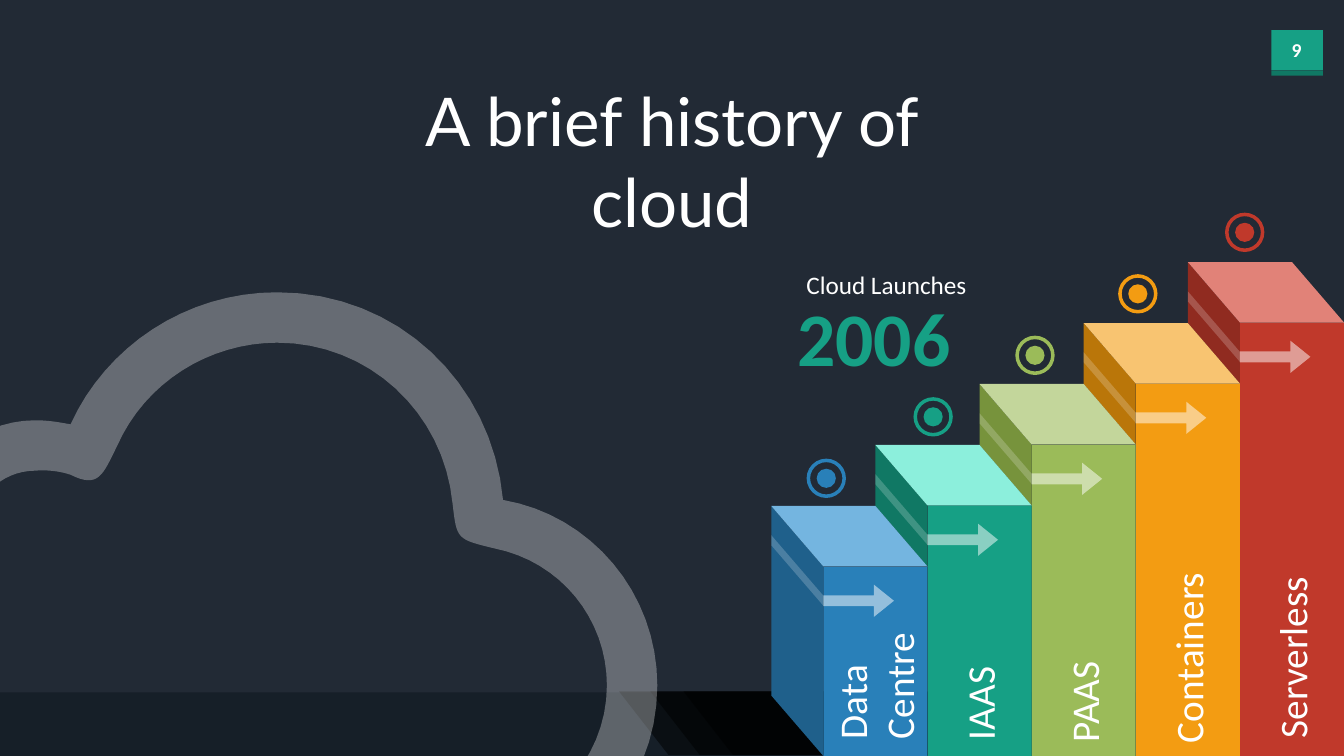
import lxml.etree
import pptx
import pptx.dml.color
import pptx.enum.shapes
import pptx.enum.text
import pptx.oxml.ns
import pptx.util

RGB = pptx.dml.color.RGBColor
SHAPE = pptx.enum.shapes.MSO_SHAPE
ALIGN = pptx.enum.text.PP_ALIGN

NIGHT = RGB(0x22, 0x2A, 0x35)
FLOOR = RGB(0x16, 0x1F, 0x28)
BLACK = RGB(0, 0, 0)
WHITE = RGB(0xFF, 0xFF, 0xFF)
BLUE, BLUE_DARK, BLUE_LIGHT = RGB(0x29, 0x80, 0xB9), RGB(0x1F, 0x60, 0x8B), RGB(0x74, 0xB5, 0xE0)
TEAL, TEAL_DARK, TEAL_LIGHT = RGB(0x16, 0xA0, 0x85), RGB(0x10, 0x78, 0x64), RGB(0x8C, 0xEF, 0xDC)
GREEN, GREEN_DARK, GREEN_LIGHT = RGB(0x9B, 0xBB, 0x59), RGB(0x77, 0x93, 0x3C), RGB(0xC3, 0xD6, 0x9B)
ORANGE, ORANGE_DARK, ORANGE_LIGHT = RGB(0xF3, 0x9C, 0x12), RGB(0xBA, 0x76, 0x09), RGB(0xF8, 0xC4, 0x71)
RED, RED_DARK, RED_LIGHT = RGB(0xC0, 0x39, 0x2B), RGB(0x90, 0x2B, 0x20), RGB(0xE1, 0x82, 0x78)

COLS, ROWS = 13.33, 7.5
STAIR_LEFT, STAIR_TOP = 7.65, 5.02
RISE = (STAIR_TOP - 2.6) / 4
TREAD = (COLS - STAIR_LEFT) / 5.5
DEPTH, SLANT = TREAD / 2, 0.6

STEPS = [
    ("Data\vCentre", BLUE, BLUE_DARK, BLUE_LIGHT, 8.2, 2.24, 1.04, 7.43),
    ("IAAS", TEAL, TEAL_DARK, TEAL_LIGHT, 9.26, 0.97, 0.57, 7.44),
    ("PAAS", GREEN, GREEN_DARK, GREEN_LIGHT, 10.27, 1.36, 0.57, 7.46),
    ("Containers", ORANGE, ORANGE_DARK, ORANGE_LIGHT, 11.29, 2.82, 0.57, 7.47),
    ("Serverless", RED, RED_DARK, RED_LIGHT, 12.35, 2.82, 0.57, 7.42),
]

CLOUD_OUTER = [
    (4.99, 4.96),
    (4.88, 3.79), (3.94, 2.9), (2.75, 2.9),
    (1.84, 2.9), (1.05, 3.44), (0.7, 4.21),
    (0.59, 4.19), (0.48, 4.17), (0.35, 4.17),
    (-0.27, 4.17), (-0.77, 4.67), (-0.77, 5.28),
    (-0.77, 5.42), (-0.75, 5.53), (-0.73, 5.66),
    (-1.21, 5.94), (-1.54, 6.45), (-1.54, 7.06),
    (-1.54, 7.96), (-0.79, 8.7), (0.1, 8.7),
    (0.1, 8.7), (4.64, 8.7), (4.64, 8.7),
    (5.69, 8.7), (6.52, 7.85), (6.52, 6.8),
    (6.52, 5.88), (5.86, 5.11), (4.99, 4.96),
]
CLOUD_INNER = [
    (4.64, 8.2),
    (4.64, 8.2), (0.1, 8.2), (0.1, 8.2),
    (-0.53, 8.2), (-1.03, 7.7), (-1.03, 7.06),
    (-1.03, 6.67), (-0.81, 6.29), (-0.46, 6.07),
    (-0.11, 5.88), (-0.09, 5.85), (-0.25, 5.48),
    (-0.27, 5.42), (-0.27, 5.35), (-0.27, 5.28),
    (-0.27, 4.96), (0, 4.67), (0.35, 4.67),
    (0.35, 4.67), (0.52, 4.65), (0.7, 4.71),
    (0.98, 4.85), (1.02, 4.71), (1.16, 4.43),
    (1.44, 3.79), (2.08, 3.4), (2.75, 3.4),
    (3.65, 3.4), (4.4, 4.08), (4.49, 5),
    (4.53, 5.35), (4.53, 5.35), (4.9, 5.44),
    (5.56, 5.57), (6.02, 6.14), (6.02, 6.8),
    (6.02, 7.56), (5.4, 8.2), (4.64, 8.2),
]


def curve(knots, pieces=16):
    points = [knots[0]]
    for i in range(0, len(knots) - 1, 3):
        a, b, c, d = knots[i:i + 4]
        for n in range(1, pieces + 1):
            t = n / pieces
            u = 1 - t
            points.append(tuple(
                u**3 * a[k] + 3 * u * u * t * b[k] + 3 * u * t * t * c[k] + t**3 * d[k]
                for k in (0, 1)))
    return points


class Deck:
    def __init__(self, prs, font):
        self.font = font
        self.col = prs.slide_width / COLS
        self.row = prs.slide_height / ROWS
        self.s = prs.slides.add_slide(prs.slide_layouts[5])
        self.s.background.fill.solid()
        self.s.background.fill.fore_color.rgb = NIGHT

    def at(self, x, y):
        return round(x * self.col), round(y * self.row)

    def paint(self, sp, color, opacity):
        sp.shadow.inherit = False
        sp.line.fill.background()
        sp.fill.solid()
        sp.fill.fore_color.rgb = color
        if opacity < 100:
            clr = sp._element.spPr.find(".//" + pptx.oxml.ns.qn("a:srgbClr"))
            alpha = lxml.etree.SubElement(clr, pptx.oxml.ns.qn("a:alpha"))
            alpha.set("val", str(opacity * 1000))

    def shape(self, kind, x, y, w, h, color, opacity=100, adjust=()):
        sp = self.s.shapes.add_shape(kind, *self.at(x, y), *self.at(w, h))
        for i, value in enumerate(adjust):
            sp.adjustments[i] = value
        self.paint(sp, color, opacity)

    def outline(self, contours, color, opacity=100):
        builder = None
        for contour in contours:
            points = [self.at(*point) for point in contour]
            if builder is None:
                builder = self.s.shapes.build_freeform(*points[0])
            else:
                builder.move_to(*points[0])
            builder.add_line_segments(points[1:], close=True)
        self.paint(builder.convert_to_shape(), color, opacity)

    def format(self, tf, text, size, color, font, bold, align, spacing, wrap):
        tf.word_wrap = wrap
        tf.auto_size = pptx.enum.text.MSO_AUTO_SIZE.NONE
        tf.vertical_anchor = pptx.enum.text.MSO_ANCHOR.TOP
        p = tf.paragraphs[0]
        p.text = text
        p.alignment = align
        p.line_spacing = spacing
        p.font.name = font
        p.font.size = pptx.util.Pt(size)
        p.font.bold = bold
        p.font.color.rgb = color

    def title(self, text, x, y, w, h, size, font):
        sp = self.s.shapes.title
        sp.left, sp.top = self.at(x, y)
        sp.width, sp.height = self.at(w, h)
        self.format(sp.text_frame, text, size, WHITE, font, False, ALIGN.CENTER, 1.0, True)

    def text(self, text, x, y, w, h, size, color=WHITE, bold=False,
             align=ALIGN.LEFT, spacing=1.0, wrap=True, rotation=0):
        sp = self.s.shapes.add_textbox(*self.at(x, y), *self.at(w, h))
        sp.rotation = rotation
        self.format(sp.text_frame, text, size, color, self.font, bold, align, spacing, wrap)

    def step(self, i, color, dark, light):
        x, y = STAIR_LEFT + i * TREAD, STAIR_TOP - i * RISE
        face, front = x + DEPTH, y + SLANT
        drop = RISE if i else ROWS - front
        self.shape(SHAPE.RECTANGLE, face, front, TREAD, ROWS - front, color)
        self.outline([[(face, front), (x, y), (x, y + drop), (face, front + drop)]], dark)
        self.outline([[(x + TREAD, y), (x, y), (face, front), (face + TREAD, front)]], light)
        self.outline([[(face, front + 0.29), (x, y + 0.29),
                       (x, y + 0.39), (face, front + 0.39)]], WHITE, 20)
        self.shape(SHAPE.RIGHT_ARROW, face, front + 0.18, 0.7, 0.32, WHITE, 50, (0.34, 0.62))

    def target(self, x, y, color):
        self.shape(SHAPE.OVAL, x - 0.1, y - 0.1, 0.19, 0.19, color)
        self.shape(SHAPE.DONUT, x - 0.2, y - 0.2, 0.39, 0.39, color, adjust=(0.09,))

    def label(self, text, x, bottom, length, depth):
        self.text(text, x - length / 2, bottom - (length + depth) / 2, length, depth,
                  28, rotation=270)


def main():
    prs = pptx.Presentation()
    prs.slide_width = pptx.util.Inches(COLS)
    prs.slide_height = pptx.util.Inches(ROWS)
    deck = Deck(prs, "Calibri")

    deck.shape(SHAPE.RECTANGLE, 12.61, 0.3, 0.51, 0.4, TEAL)
    deck.shape(SHAPE.RECTANGLE, 12.61, 0.7, 0.51, 0.05, TEAL_DARK)
    deck.text("9", 12.64, 0.33, 0.44, 0.34, 14, bold=True, align=ALIGN.CENTER, wrap=False)

    deck.shape(SHAPE.RECTANGLE, 0, 6.87, COLS, 0.63, FLOOR)
    for x in (6.14, 6.45, 6.78):
        deck.outline([[(x, 6.86), (x + 2.68, 6.86), (x + 2.68, 7.49), (x + 0.49, 7.49)]],
                     BLACK, 50)
    deck.title("A brief history of cloud", 3.53, 0.74, 6.27, 0.91, 48, "Lato")

    for i, (name, color, dark, light, *rest) in reversed(list(enumerate(STEPS))):
        deck.step(i, color, dark, light)
    for i, (name, color, dark, light, dot, length, depth, bottom) in enumerate(STEPS):
        deck.target(dot, 4.75 - 0.61 * i, color)
        deck.label(name, STAIR_LEFT + (i + 1) * TREAD, bottom, length, depth)

    deck.text("Cloud Launches", 7.9, 2.47, 2.73, 0.56, 18, align=ALIGN.JUSTIFY, spacing=1.5)
    deck.text("2006", 7.81, 2.84, 1.74, 1.01, 54, TEAL, True, wrap=False)
    deck.outline([curve(CLOUD_OUTER), curve(CLOUD_INNER)], WHITE, 31)

    prs.save("out.pptx")


if __name__ == "__main__":
    main()
